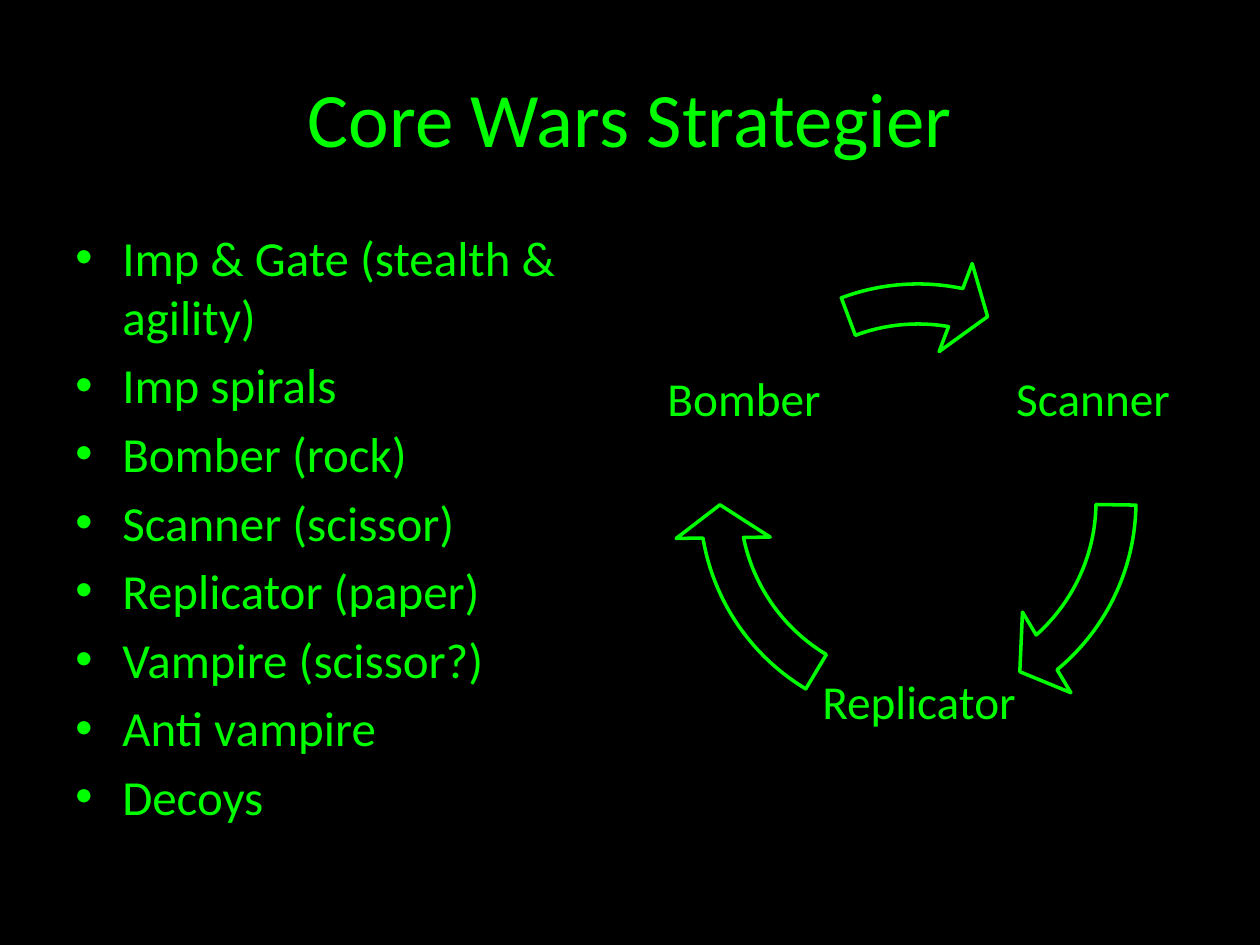
import pptx
import pptx.util
import pptx.dml.color
import pptx.enum.shapes
import pptx.enum.text
import pptx.oxml.ns
from lxml import etree

THEME = {
    "font": "Calibri",
    "ink": pptx.dml.color.RGBColor(0x00, 0xFF, 0x00),
    "back": pptx.dml.color.RGBColor(0x00, 0x00, 0x00),
    "title": 44,
    "body": 28,
    "label": 27,
    "line": 2,
}
SCALE = 914400 / 126  # EMU per px
ALIGN = pptx.enum.text.PP_ALIGN
ANCHOR = pptx.enum.text.MSO_ANCHOR
qn = pptx.oxml.ns.qn


def add_text(shapes, box, lines, size, align, anchor):
    frame = shapes.add_textbox(*[round(n * SCALE) for n in box]).text_frame
    frame.word_wrap = True
    frame.vertical_anchor = anchor
    frame.text = "\n".join(lines)
    for para in frame.paragraphs:
        para.alignment = align
        for run in para.runs:
            run.font.name = THEME["font"]
            run.font.size = pptx.util.Pt(size)
            run.font.color.rgb = THEME["ink"]
    return frame


def add_gap(para, tag, percent):
    gap = etree.SubElement(para._p.get_or_add_pPr(), qn(tag))
    etree.SubElement(gap, qn("a:spcPct")).set("val", str(percent * 1000))


deck = pptx.Presentation()
deck.slide_width = round(1260 * SCALE)
deck.slide_height = round(945 * SCALE)
slide = deck.slides.add_slide(deck.slide_layouts[6])
slide.background.fill.solid()
slide.background.fill.fore_color.rgb = THEME["back"]

# Title
add_text(slide.shapes, (63, 38, 1134, 158), ["Core Wars Strategier"],
         THEME["title"], ALIGN.CENTER, ANCHOR.MIDDLE)

# Strategy list
items = [
    "Imp & Gate (stealth & agility)",
    "Imp spirals",
    "Bomber (rock)",
    "Scanner (scissor)",
    "Replicator (paper)",
    "Vampire (scissor?)",
    "Anti vampire",
    "Decoys",
]
body = add_text(slide.shapes, (63, 221, 557, 624), items,
                THEME["body"], ALIGN.LEFT, ANCHOR.TOP)
hang = round(47 * SCALE)
for para in body.paragraphs:
    add_gap(para, "a:spcBef", 20)
    props = para._p.get_or_add_pPr()
    props.set("marL", str(hang))
    props.set("indent", str(-hang))
    etree.SubElement(props, qn("a:buFont")).set("typeface", "Arial")
    etree.SubElement(props, qn("a:buChar")).set("char", "•")

# Cycle: label, its left and top, then arrow end and start in degrees
cycle = [
    ("Scanner", 989, 297, 49.45, 0.83),
    ("Replicator", 815, 600, 169.58, 120.96),
    ("Bomber", 640, 297, 280.99, 249.42),
]
SIDE = 208
RING = 490
TURN = 0.6  # adjustment units per degree
ring = [round(n * SCALE) for n in (673, 257, RING, RING)]
group = slide.shapes.add_group_shape()
for name, left, top, end, start in cycle:
    label = add_text(group.shapes, (left, top, SIDE, SIDE), [name],
                     THEME["label"], ALIGN.CENTER, ANCHOR.MIDDLE)
    pad = round(5 * SCALE)
    label.margin_left = label.margin_right = pad
    label.margin_top = label.margin_bottom = pad
    label.paragraphs[0].line_spacing = 0.9
    add_gap(label.paragraphs[0], "a:spcAft", 35)

    arrow = group.shapes.add_shape(
        pptx.enum.shapes.MSO_SHAPE.CIRCULAR_ARROW, *ring)
    shape = (40 / RING, 9.59 * TURN, end * TURN, start * TURN, 47 / RING)
    for i, value in enumerate(shape):
        arrow.adjustments[i] = value
    arrow.shadow.inherit = False
    arrow.fill.solid()
    arrow.fill.fore_color.rgb = THEME["back"]
    arrow.line.color.rgb = THEME["ink"]
    arrow.line.width = pptx.util.Pt(THEME["line"])

deck.save("out.pptx")
